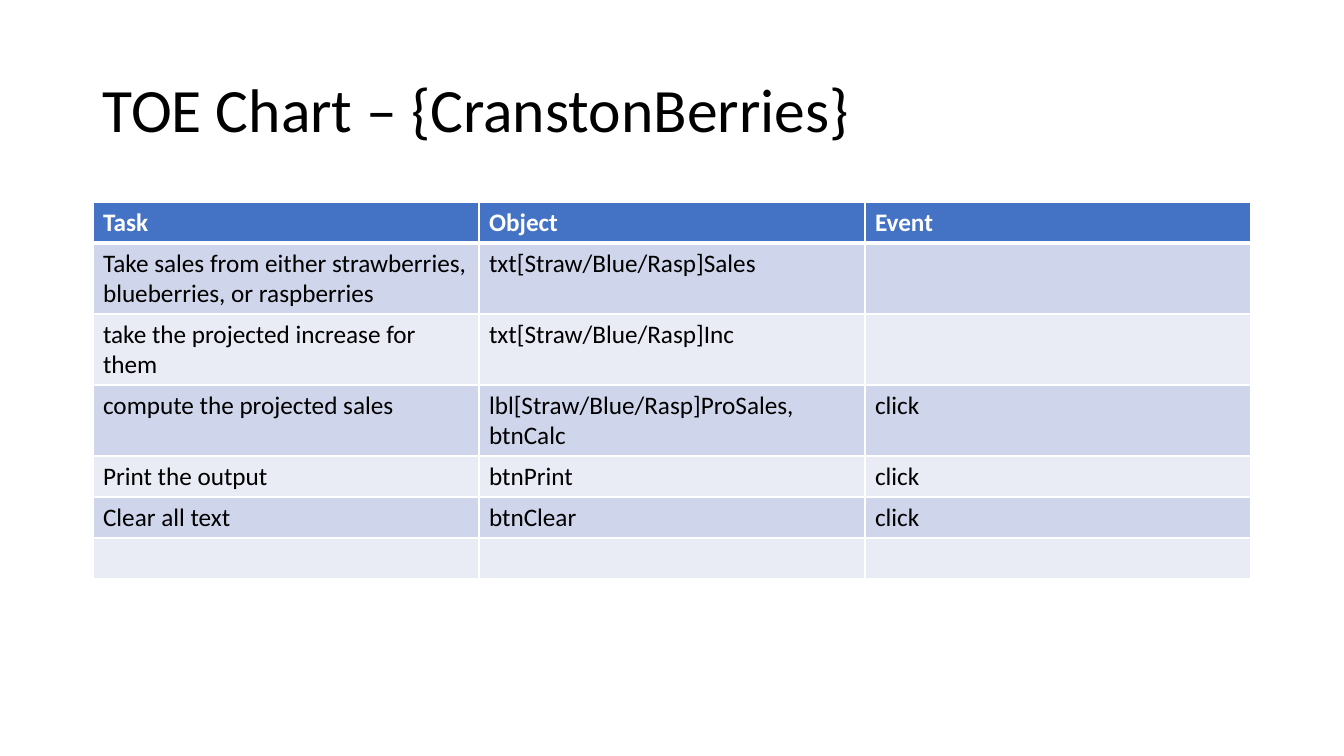
from dataclasses import dataclass

from lxml.etree import SubElement
from pptx import Presentation
from pptx.dml.color import RGBColor
from pptx.enum.text import MSO_ANCHOR
from pptx.oxml.ns import qn
from pptx.util import Emu, Pt

SCALE = 12192000 / 1344
COLORS = {
    "text": "000000",
    "white": "FFFFFF",
    "header": "4472C4",
    "odd": "CFD5EA",
    "even": "E9EBF5",
}
TITLE_FONT = {"name": "Calibri", "size": Pt(44), "bold": False}
HEADER_FONT = {"name": "Calibri", "size": Pt(18), "bold": True}
BODY_FONT = {"name": "Calibri", "size": Pt(18), "bold": False}
LEFT, WIDTH = 93, 1158
COLUMNS = 3
ONE_LINE, TWO_LINES = 41, 71


@dataclass(frozen=True)
class Row:
    task: str = ""
    object: str = ""
    event: str = ""
    height: int = ONE_LINE


ROWS = [
    Row("Task", "Object", "Event"),
    Row("Take sales from either strawberries, blueberries, or raspberries",
        "txt[Straw/Blue/Rasp]Sales", height=TWO_LINES),
    Row("take the projected increase for them", "txt[Straw/Blue/Rasp]Inc",
        height=TWO_LINES),
    Row("compute the projected sales", "lbl[Straw/Blue/Rasp]ProSales, btnCalc",
        "click", TWO_LINES),
    Row("Print the output", "btnPrint", "click"),
    Row("Clear all text", "btnClear", "click"),
    Row(),
]


def px(value: int) -> Emu:
    return Emu(round(value * SCALE))


def rgb(name: str) -> RGBColor:
    return RGBColor.from_string(COLORS[name])


def write(p, text: str, font: dict, color: str) -> None:
    r = p.add_run()
    r.text = text
    for key, value in font.items():
        setattr(r.font, key, value)
    r.font.color.rgb = rgb(color)


def set_borders(cell, top: int, bottom: int) -> None:
    tc_pr = cell._tc.get_or_add_tcPr()
    for side, points in {"L": 1, "R": 1, "T": top, "B": bottom}.items():
        ln = SubElement(tc_pr, qn(f"a:ln{side}"), w=str(Pt(points)))
        fill = SubElement(ln, qn("a:solidFill"))
        SubElement(fill, qn("a:srgbClr"), val=COLORS["white"])


def add_title(slide, text: str) -> None:
    sp = slide.shapes.add_textbox(px(LEFT), px(40), px(WIDTH), px(146))
    tf = sp.text_frame
    for key, value in {"word_wrap": True, "vertical_anchor": MSO_ANCHOR.MIDDLE}.items():
        setattr(tf, key, value)
    p = tf.paragraphs[0]
    p.line_spacing = 0.9
    write(p, text, TITLE_FONT, "text")


def add_toe_table(slide, rows: list[Row]) -> None:
    height = sum(row.height for row in rows)
    table = slide.shapes.add_table(
        len(rows), COLUMNS, px(LEFT), px(202), px(WIDTH), px(height)).table
    for i, row in enumerate(rows):
        table.rows[i].height = px(row.height)
        header = i == 0
        fill = "header" if header else "odd" if i % 2 else "even"
        for j, text in enumerate((row.task, row.object, row.event)):
            cell = table.cell(i, j)
            set_borders(cell, 3 if i == 1 else 1, 3 if header else 1)
            cell.fill.solid()
            cell.fill.fore_color.rgb = rgb(fill)
            if text:
                write(cell.text_frame.paragraphs[0], text,
                      HEADER_FONT if header else BODY_FONT,
                      "white" if header else "text")


prs = Presentation()
prs.slide_width, prs.slide_height = px(1344), px(756)
s = prs.slides.add_slide(prs.slide_layouts[6])
add_title(s, "TOE Chart – {CranstonBerries}")
add_toe_table(s, ROWS)
prs.save("out.pptx")
